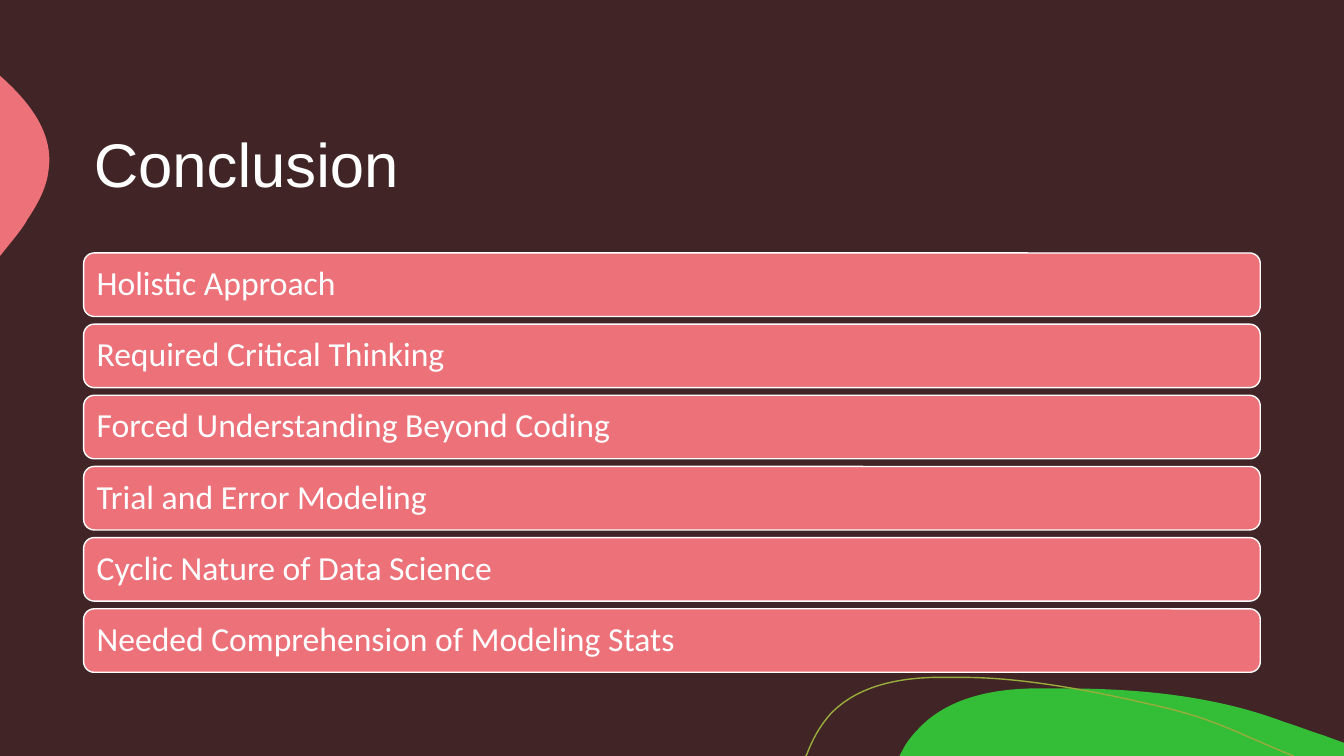
from lxml import etree
from pptx import Presentation
from pptx.dml.color import RGBColor
from pptx.enum.shapes import MSO_SHAPE
from pptx.enum.text import MSO_ANCHOR, MSO_AUTO_SIZE, PP_ALIGN
from pptx.oxml.ns import qn
from pptx.util import Inches, Pt

ROUNDED = MSO_SHAPE.ROUNDED_RECTANGLE
MIDDLE = MSO_ANCHOR.MIDDLE
LEFT = PP_ALIGN.LEFT
FIXED_SIZE = MSO_AUTO_SIZE.NONE

BACKGROUND, CORAL, GREEN, OLIVE, WHITE = "412426", "EC7179", "34BD36", "98AD3C", "FFFFFF"
UNITS_PER_INCH = 1000

LESSONS = [
    "Holistic Approach",
    "Required Critical Thinking",
    "Forced Understanding Beyond Coding",
    "Trial and Error Modeling",
    "Cyclic Nature of Data Science",
    "Needed Comprehension of Modeling Stats",
]

GREEN_HILL = [
    [(1.62, 0)],
    [(2.36, 0), (3.12, 0.07), (3.81, 0.33)],
    [(3.94, 0.37), (4.06, 0.42), (4.19, 0.46)],
    [(4.41, 0.54)], [(4.41, 0.67)], [(0, 0.67)], [(0.06, 0.56)],
    [(0.1, 0.5), (0.14, 0.45), (0.19, 0.4)],
    [(0.47, 0.1), (0.9, 0.01), (1.31, 0)],
    [(1.41, 0), (1.51, 0), (1.62, 0)],
]
CORAL_BULGE = [
    [(0, 0)], [(0.01, 0.01)],
    [(0.3, 0.27), (0.54, 0.58), (0.48, 0.95)],
    [(0.46, 1.12), (0.37, 1.28), (0.27, 1.43)],
    [(0.24, 1.49), (0.17, 1.58), (0.08, 1.69)],
    [(0, 1.79)],
]
OLIVE_CONTOUR = [
    [(0, 0.78)], [(0.01, 0.77)],
    [(0.07, 0.61), (0.15, 0.47), (0.25, 0.36)],
    [(0.51, 0.09), (0.9, 0.01), (1.27, 0)],
    [(1.56, 0)],
    [(2.23, 0), (3.01, 0.17), (3.56, 0.3)],
    [(4.1, 0.43), (4.27, 0.55), (4.84, 0.78)],
]


def color(hex_value):
    return RGBColor.from_string(hex_value)


def paint(shape, fill=None, line=None):
    shape.shadow.inherit = False
    if fill:
        shape.fill.solid()
        shape.fill.fore_color.rgb = color(fill)
    else:
        shape.fill.background()
    if line:
        shape.line.color.rgb = color(line)
        shape.line.width = Pt(1)
    else:
        shape.line.fill.background()


def style_text(frame, font_name, size):
    frame.word_wrap = True
    frame.vertical_anchor = MIDDLE
    paragraph = frame.paragraphs[0]
    paragraph.alignment = LEFT
    paragraph.line_spacing = 0.9
    font = paragraph.runs[0].font
    font.name = font_name
    font.size = Pt(size)
    font.color.rgb = color(WHITE)


def bend_segments(outline, segments):
    steps = iter(outline.findall(qn("a:lnTo")))
    for segment in segments[1:]:
        segment_steps = [next(steps) for _ in segment]
        if len(segment) == 3:
            curve = etree.Element(qn("a:cubicBezTo"))
            segment_steps[0].addprevious(curve)
            for step in segment_steps:
                curve.append(step[0])
                outline.remove(step)


def add_curved_outline(slide, left, top, width, height, segments, fill=None, line=None):
    start, *rest = [
        (x * UNITS_PER_INCH, y * UNITS_PER_INCH) for segment in segments for x, y in segment
    ]
    builder = slide.shapes.build_freeform(*start, scale=Inches(1) / UNITS_PER_INCH)
    builder.add_line_segments(rest, close=fill is not None)
    shape = builder.convert_to_shape(Inches(left), Inches(top))
    outline = next(shape.element.iter(qn("a:path")))
    bend_segments(outline, segments)
    outline.set("w", str(round(width * UNITS_PER_INCH)))
    outline.set("h", str(round(height * UNITS_PER_INCH)))
    shape.width, shape.height = Inches(width), Inches(height)
    paint(shape, fill, line)


def add_backdrop(slide):
    slide.background.fill.solid()
    slide.background.fill.fore_color.rgb = color(BACKGROUND)
    add_curved_outline(slide, 8.92, 6.83, 4.41, 0.67, GREEN_HILL, fill=GREEN)
    add_curved_outline(slide, 0, 0.75, 0.49, 1.79, CORAL_BULGE, fill=CORAL)
    add_curved_outline(slide, 7.99, 6.72, 4.84, 0.78, OLIVE_CONTOUR, line=OLIVE)


def add_heading(slide, left, top, width, height):
    heading = slide.shapes.title
    heading.left, heading.top = Inches(left), Inches(top)
    heading.width, heading.height = Inches(width), Inches(height)
    heading.text_frame.text = "Conclusion"
    heading.text_frame.auto_size = FIXED_SIZE
    style_text(heading.text_frame, "Arial", 44)


def add_lessons(slide, left, top, width, height, bar_height=0.63):
    pitch = (height - bar_height) / (len(LESSONS) - 1)
    for row, lesson in enumerate(LESSONS):
        bar = slide.shapes.add_shape(
            ROUNDED, Inches(left), Inches(top + row * pitch),
            Inches(width), Inches(bar_height))
        paint(bar, CORAL, WHITE)
        frame = bar.text_frame
        frame.text = lesson
        frame.margin_left = frame.margin_right = Inches(0.1)
        frame.margin_top = frame.margin_bottom = Inches(0.1)
        style_text(frame, "Calibri", 24)


def main():
    presentation = Presentation()
    presentation.slide_width = Inches(13.33)
    presentation.slide_height = Inches(7.5)
    slide = presentation.slides.add_slide(presentation.slide_layouts[5])
    add_backdrop(slide)
    add_heading(slide, 0.83, 0.83, 11.67, 1.67)
    add_lessons(slide, 0.83, 2.51, 11.67, 4.16)
    presentation.save("out.pptx")


if __name__ == "__main__":
    main()
